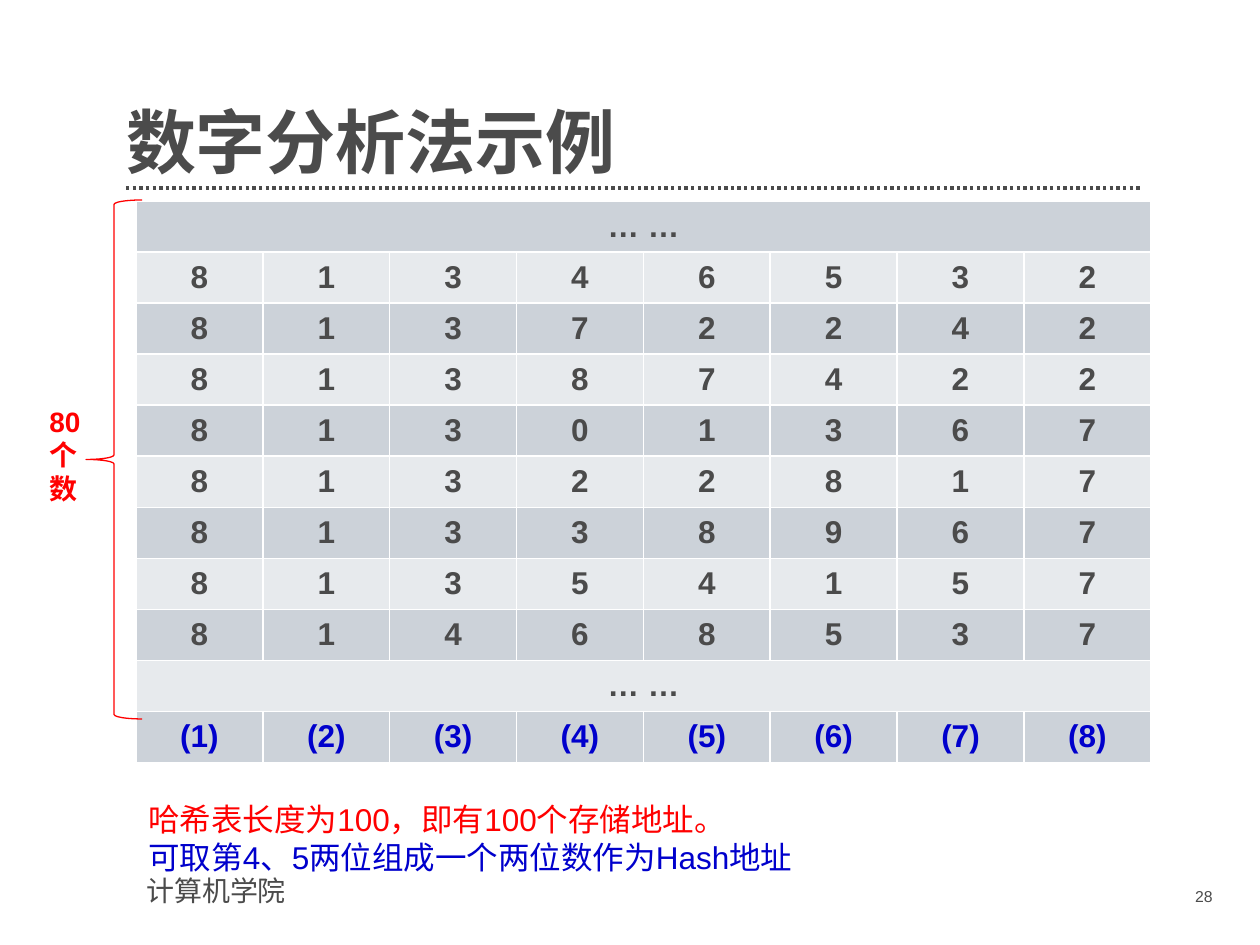
from dataclasses import dataclass

from lxml import etree
from pptx import Presentation, util as u
from pptx.dml.color import RGBColor
from pptx.enum import dml, shapes, text
from pptx.oxml.ns import qn

PX = 914400 // 126


@dataclass(frozen=True)
class Theme:
    ink: str = "4B4B4B"
    red: str = "FF0000"
    blue: str = "0000CC"
    white: str = "FFFFFF"
    bands: tuple = ("CCD2D9", "E7EAED")
    body_font: str = "Arial"
    title_font: str = "Noto Sans CJK SC"
    title_size: int = 40
    body_size: int = 18
    label_size: int = 16
    number_size: int = 9


theme = Theme()


def style(paragraph, size, color, bold=False, font=theme.body_font):
    paragraph.font.size = u.Pt(size)
    paragraph.font.bold = bold
    paragraph.font.name = font
    paragraph.font.color.rgb = RGBColor.from_string(color)


def add_text(box, lines, size, bold=False, font=theme.body_font):
    """Add a text box at box (px); lines holds (wording, colour) pairs."""
    frame = slide.shapes.add_textbox(*(v * PX for v in box)).text_frame
    frame.word_wrap = True
    for i, (wording, color) in enumerate(lines):
        paragraph = frame.add_paragraph() if i else frame.paragraphs[0]
        paragraph.text = wording
        style(paragraph, size, color, bold, font)
    return frame


prs = Presentation()
prs.slide_width, prs.slide_height = 1260 * PX, 945 * PX
slide = prs.slides.add_slide(prs.slide_layouts[6])

# Title with its dotted rule
rule = slide.shapes.add_connector(
    shapes.MSO_CONNECTOR.STRAIGHT, 126 * PX, 188 * PX, 1141 * PX, 188 * PX)
rule.line.color.rgb = RGBColor.from_string(theme.ink)
rule.line.width = u.Pt(1.9)
rule.line.dash_style = dml.MSO_LINE.ROUND_DOT
etree.SubElement(rule._element.spPr, qn("a:effectLst"))

title = add_text((126, 69, 1015, 115), [("数字分析法示例", theme.ink)],
                 theme.title_size, True, theme.title_font)
title.vertical_anchor = text.MSO_ANCHOR.BOTTOM
title.margin_left = title.margin_right = title.margin_top = title.margin_bottom = 0
title.paragraphs[0].line_spacing = 0.9
etree.SubElement(title.paragraphs[0].font._element, qn("a:ea"), typeface=theme.title_font)

# Table of keys, one digit per column
keys = ["81346532", "81372242", "81387422", "81301367",
        "81322817", "81338967", "81354157", "81468537"]
positions = [f"({n})" for n in range(1, 9)]
rows = [["… …"], *map(list, keys), ["… …"], positions]
digits = slide.shapes.add_table(
    len(rows), len(positions), 136 * PX, 201 * PX, 1015 * PX, 562 * PX).table

for r, row in enumerate(rows):
    for c in range(len(positions)):
        cell = digits.cell(r, c)
        borders = cell._tc.get_or_add_tcPr()
        for side in ("lnL", "lnR", "lnT", "lnB"):
            border = etree.SubElement(borders, qn(f"a:{side}"), w=str(u.Pt(1)))
            paint = etree.SubElement(border, qn("a:solidFill"))
            etree.SubElement(paint, qn("a:srgbClr"), val=theme.white)
        cell.fill.solid()
        cell.fill.fore_color.rgb = RGBColor.from_string(theme.bands[r % 2])
        cell.vertical_anchor = text.MSO_ANCHOR.MIDDLE
        if c < len(row):
            cell.text = row[c]
            digit = cell.text_frame.paragraphs[0]
            digit.alignment = text.PP_ALIGN.CENTER
            style(digit, theme.body_size, theme.blue if row is positions else theme.ink, True)
    if len(row) == 1:
        digits.cell(r, 0).merge(digits.cell(r, len(positions) - 1))

# Brace counting the keys
brace = slide.shapes.add_shape(
    shapes.MSO_SHAPE.LEFT_BRACE, 86 * PX, 200 * PX, 56 * PX, 519 * PX)
brace.adjustments[0] = 0.08
brace.shadow.inherit = False
brace.fill.background()
brace.line.color.rgb = RGBColor.from_string(theme.red)
brace.line.width = u.Pt(0.75)
add_text((37, 398, 74, 115), [("80个数", theme.red)], theme.label_size, True)

# Conclusion and footer
add_text((136, 794, 1013, 89),
         [("哈希表长度为100，即有100个存储地址。", theme.red),
          ("可取第4、5两位组成一个两位数作为Hash地址", theme.blue)], theme.body_size)
add_text((134, 867, 323, 47), [("计算机学院", theme.ink)], theme.label_size)
number = add_text((1100, 881, 125, 37), [("28", theme.ink)], theme.number_size)
number.paragraphs[0].alignment = text.PP_ALIGN.RIGHT

prs.save("out.pptx")
